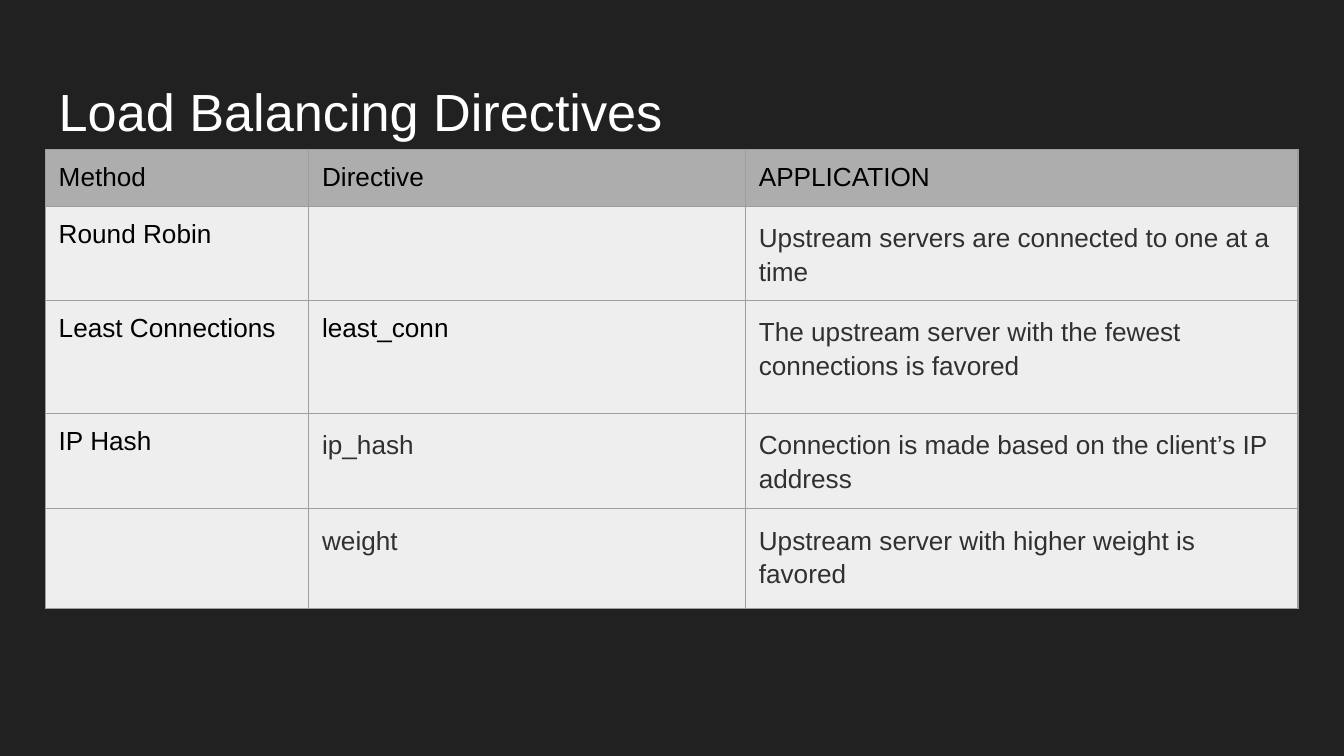
from dataclasses import dataclass

from lxml import etree
from pptx import Presentation
from pptx.dml.color import RGBColor
from pptx.enum.text import MSO_ANCHOR, MSO_AUTO_SIZE, PP_ALIGN
from pptx.oxml.ns import qn
from pptx.util import Cm, Pt

LEFT = PP_ALIGN.LEFT
TOP = MSO_ANCHOR.TOP
FIXED = MSO_AUTO_SIZE.NONE
TITLE_ONLY = 5


@dataclass(frozen=True)
class Theme:
    font: str = "Arial"
    back: str = "212121"
    title: str = "FFFFFF"
    head: str = "ADADAD"
    body: str = "EEEEEE"
    rule: str = "9E9E9E"
    dark: str = "000000"
    soft: str = "303030"
    large: int = 28
    small: int = 14
    line: float = 0.75


THEME = Theme()
PAD = Cm(0.25)

# Each cell is its text and ink; soft text is set with wider spacing
DARK, SOFT = THEME.dark, THEME.soft
ROWS = [
    [("Method", DARK), ("Directive", DARK), ("APPLICATION", DARK)],
    [("Round Robin", DARK), ("", DARK),
     ("Upstream servers are connected to one at a time", SOFT)],
    [("Least Connections", DARK), ("least_conn", DARK),
     ("The upstream server with the fewest connections is favored", SOFT)],
    [("IP Hash", DARK), ("ip_hash", SOFT),
     ("Connection is made based on the client’s IP address", SOFT)],
    [("", DARK), ("weight", SOFT),
     ("Upstream server with higher weight is favored", SOFT)],
]
WIDTHS = [1.96, 3.25, 4.11]  # column shares
HEIGHTS = [0.42, 0.7, 0.84, 0.71, 0.74]  # row shares


def style(para, size, color):
    para.alignment = LEFT
    for item in (para, *para.runs):
        item.font.name = THEME.font
        item.font.size = Pt(size)
        item.font.color.rgb = RGBColor.from_string(color)


def pad(item):
    item.margin_left = item.margin_right = PAD
    item.margin_top = item.margin_bottom = PAD
    item.vertical_anchor = TOP


def edge(cell):
    """Draw a thin rule on all four sides of a cell."""
    props = cell._tc.get_or_add_tcPr()
    for side in ("lnL", "lnR", "lnT", "lnB"):
        line = etree.SubElement(props, qn("a:" + side), w=str(Pt(THEME.line)))
        fill = etree.SubElement(line, qn("a:solidFill"))
        etree.SubElement(fill, qn("a:srgbClr"), val=THEME.rule)


def add_title(slide, box, text):
    title = slide.shapes.title
    title.left, title.top, title.width, title.height = box
    frame = title.text_frame
    frame.text = text
    frame.word_wrap = True
    frame.auto_size = FIXED
    pad(frame)
    style(frame.paragraphs[0], THEME.large, THEME.title)


def fill_cell(cell, text, ink, color):
    edge(cell)
    cell.fill.solid()
    cell.fill.fore_color.rgb = RGBColor.from_string(color)
    pad(cell)
    cell.text = text
    para = cell.text_frame.paragraphs[0]
    style(para, THEME.small, ink)
    if ink == SOFT:
        para.line_spacing = 1.15
        para.space_after = Pt(16)


def add_grid(slide, box, rows):
    left, top, width, height = box
    table = slide.shapes.add_table(
        len(rows), len(WIDTHS), left, top, width, height).table
    table.horz_banding = False
    for col, share in zip(table.columns, WIDTHS):
        col.width = int(width * share / sum(WIDTHS))
    for row, share in zip(table.rows, HEIGHTS):
        row.height = int(height * share / sum(HEIGHTS))
    for r, row in enumerate(rows):
        color = THEME.body if r else THEME.head
        for c, (text, ink) in enumerate(row):
            fill_cell(table.cell(r, c), text, ink, color)


def main():
    deck = Presentation()
    deck.slide_width, deck.slide_height = Cm(25.4), Cm(14.29)
    slide = deck.slides.add_slide(deck.slide_layouts[TITLE_ONLY])
    back = slide.background.fill
    back.solid()
    back.fore_color.rgb = RGBColor.from_string(THEME.back)

    # Title above, table of directives below, sharing both margins
    left, width = Cm(0.86), Cm(23.67)
    add_title(slide, (left, Cm(1.24), width, Cm(1.59)),
              "Load Balancing Directives")
    add_grid(slide, (left, Cm(2.83), width, Cm(8.67)), ROWS)
    deck.save("out.pptx")


if __name__ == "__main__":
    main()
